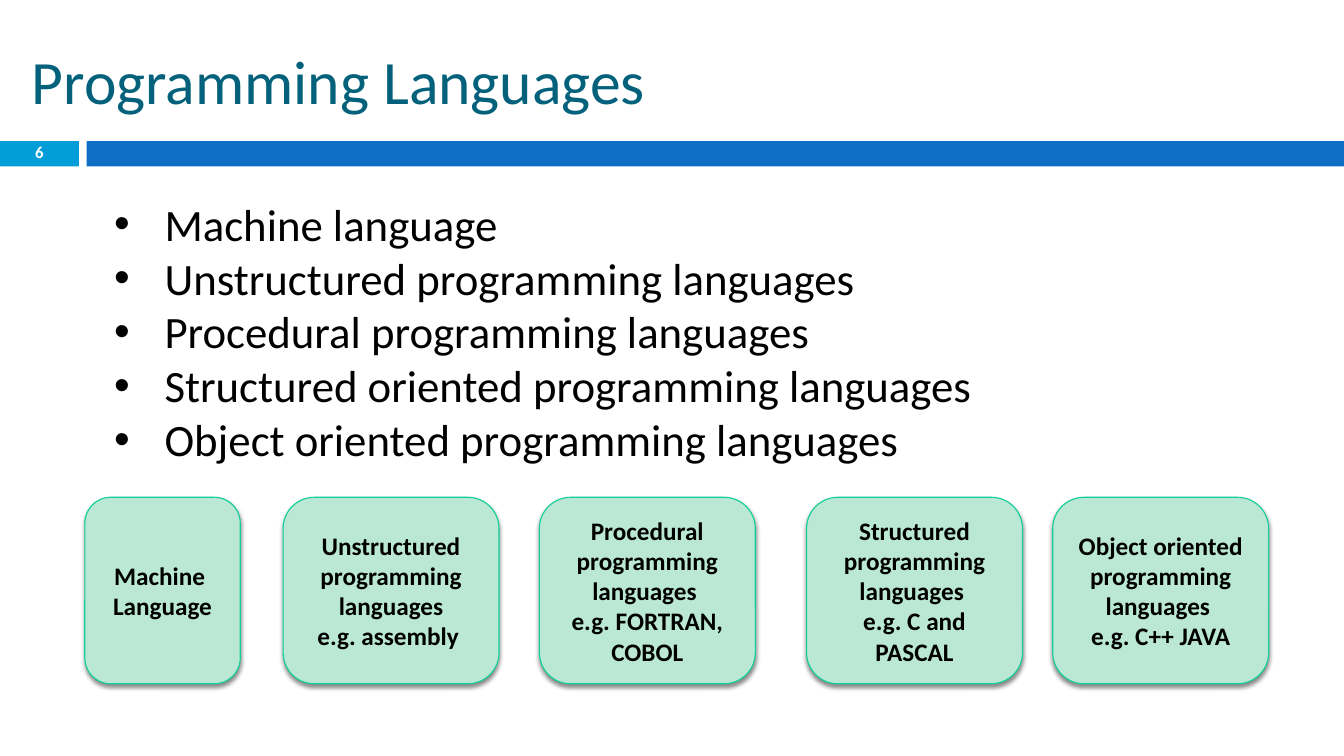
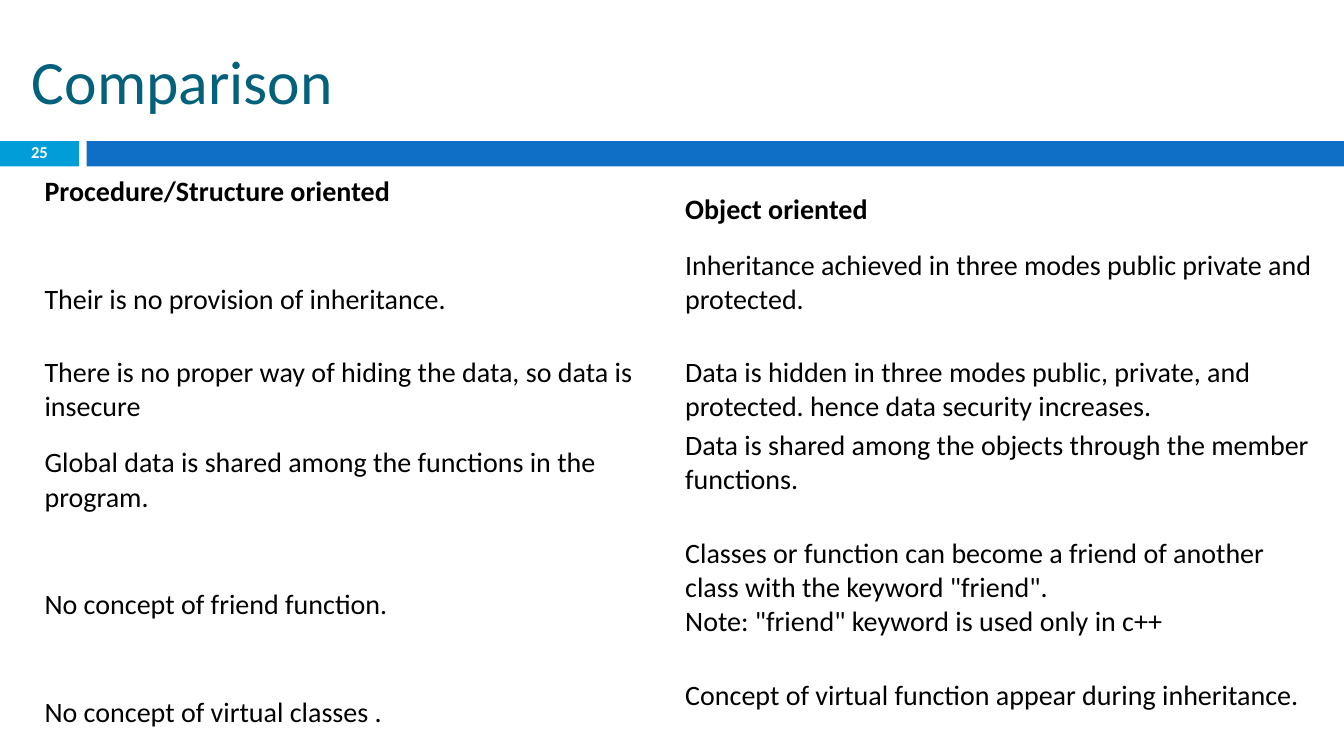
import dataclasses

import pptx
import pptx.dml.color
import pptx.enum.shapes
import pptx.enum.text
import pptx.oxml
import pptx.oxml.ns
import pptx.util

SHAPE = pptx.enum.shapes.MSO_SHAPE
ALIGN = pptx.enum.text.PP_ALIGN
ANCHOR = pptx.enum.text.MSO_ANCHOR
NAMESPACE = pptx.oxml.ns.nsdecls("a")

# Shared look
FONT = "Calibri"
BLACK, WHITE, TITLE_TEAL = "000000", "FFFFFF", "04617B"
NUMBER_BLUE, BAND_BLUE = "009DD9", "0F6FC6"
CARD_GREEN, CARD_EDGE = "BAE8D4", "10CF9B"

# Grid: 160 columns by 90 rows of square cells
WIDTH, HEIGHT = pptx.util.Inches(13.33), pptx.util.Inches(7.5)
COLUMNS, ROWS = 160, 90
TABLE_LINE, TABLE_PAD = 4.1, 0.25


def cells(count):
    return round(count * HEIGHT / ROWS)


@dataclasses.dataclass
class Box:
    left: float
    top: float
    width: float
    height: float

    def inner(self, left, top, width, height):
        return Box(self.left + left, self.top + top, width, height)

    def place(self):
        return [cells(n) for n in (self.left, self.top, self.width, self.height)]


TITLE_BOX = Box(2.6, 3, 142.7, 13)
BAND_BOX = Box(0, 16.8, COLUMNS, 3)
LIST_BOX = Box(12.4, 22.8, 139.3, 33.5)
CARDS_BOX = Box(10.1, 59.2, 141, 22.2)
TABLE_BOX = Box(4.7, 20.6, 152.5, 68.6)


def color(value):
    return pptx.dml.color.RGBColor.from_string(value)


def write(frame, lines, size, shade=BLACK, bold=False, align=ALIGN.LEFT, anchor=ANCHOR.MIDDLE):
    """Fill a text frame, one paragraph for each line."""
    frame.word_wrap = True
    frame.vertical_anchor = anchor
    for index, line in enumerate(lines):
        para = frame.paragraphs[0] if index == 0 else frame.add_paragraph()
        para.alignment = align
        span = para.add_run()
        span.text = line
        span.font.name = FONT
        span.font.size = pptx.util.Pt(size)
        span.font.bold = bold
        span.font.color.rgb = color(shade)


def add_panel(page, box, preset, fill, edge=None):
    panel = page.shapes.add_shape(preset, *box.place())
    panel.shadow.inherit = False
    panel.fill.solid()
    panel.fill.fore_color.rgb = color(fill)
    if edge:
        panel.line.color.rgb = color(edge)
        panel.line.width = pptx.util.Pt(0.79)
    else:
        panel.line.fill.background()
    return panel


def add_page(deck, title, number):
    """Title, page number and the band below the title."""
    page = deck.slides.add_slide(deck.slide_layouts[5])
    heading = page.shapes.title
    heading.left, heading.top, heading.width, heading.height = TITLE_BOX.place()
    write(heading.text_frame, [title], 44, TITLE_TEAL)

    tab = add_panel(page, BAND_BOX.inner(0, 0, 9.4, 3), SHAPE.RECTANGLE, NUMBER_BLUE)
    write(tab.text_frame, [str(number)], 11.9, WHITE, True, ALIGN.CENTER)
    tab.text_frame.paragraphs[0].line_spacing = 0.8
    add_panel(page, BAND_BOX.inner(10.3, 0, COLUMNS - 10.3, 3), SHAPE.RECTANGLE, BAND_BLUE)
    return page


def add_bullets(page, box, items):
    frame = page.shapes.add_textbox(*box.place()).text_frame
    write(frame, items, 32, align=ALIGN.JUSTIFY, anchor=ANCHOR.TOP)
    for para in frame.paragraphs:
        properties = para._p.get_or_add_pPr()
        properties.set("marL", str(cells(6)))
        properties.set("indent", str(-cells(6)))
        for markup in (f'<a:buFont {NAMESPACE} typeface="Arial"/>',
                       f'<a:buChar {NAMESPACE} char="•"/>'):
            properties.append(pptx.oxml.parse_xml(markup))


def add_soft_shadow(shape):
    effects = shape._element.spPr.find(pptx.oxml.ns.qn("a:effectLst"))
    effects.append(pptx.oxml.parse_xml(
        f'<a:outerShdw {NAMESPACE} blurRad="{int(pptx.util.Pt(3))}" '
        f'dist="{int(pptx.util.Pt(2.4))}" dir="5400000" rotWithShape="0">'
        f'<a:srgbClr val="{BLACK}"><a:alpha val="45000"/></a:srgbClr></a:outerShdw>'))


def add_cards(page, box, cards):
    """Row of rounded cards, each with its offset, width and lines."""
    for offset, width, lines in cards:
        card = add_panel(page, box.inner(offset, 0, width, box.height),
                         SHAPE.ROUNDED_RECTANGLE, CARD_GREEN, CARD_EDGE)
        add_soft_shadow(card)
        write(card.text_frame, lines, 18, bold=True, align=ALIGN.CENTER)


def add_comparison(page, box, rows):
    """Two-column table; a raised cell keeps one line free below its text."""
    table = page.shapes.add_table(len(rows), 2, *box.place()).table
    table.first_row = table.horz_banding = False
    for column in table.columns:
        column.width = cells(box.width / 2)
    for index, (line_count, *entries) in enumerate(rows):
        table.rows[index].height = cells(line_count * TABLE_LINE + 2 * TABLE_PAD)
        for cell, (lines, raised) in zip(table.rows[index].cells, entries):
            cell.fill.background()
            cell.margin_left = cell.margin_right = cells(0.6)
            cell.margin_top = cells(TABLE_PAD)
            cell.margin_bottom = cells(TABLE_PAD + TABLE_LINE * raised)
            write(cell.text_frame, lines, 20, bold=index == 0)
            cell.vertical_anchor = ANCHOR.MIDDLE


LANGUAGES = [
    "Machine language",
    "Unstructured programming languages",
    "Procedural programming languages",
    "Structured oriented programming languages",
    "Object oriented programming languages",
]

# Offset, width, lines
CARDS = [
    (0, 18.5, ["Machine ", "Language"]),
    (23.6, 25.7, ["Unstructured programming languages", "e.g. assembly "]),
    (54.1, 25.7, ["Procedural programming languages ", "e.g. FORTRAN, COBOL"]),
    (85.9, 25.7, ["Structured programming languages ", "e.g. C and PASCAL"]),
    (115.2, 25.7, ["Object oriented programming languages ", "e.g. C++ JAVA"]),
]

# Row height in lines, then left and right cell as (lines, raised)
COMPARISON = [
    (2, (["Procedure/Structure oriented"], True), (["Object oriented"], False)),
    (3, (["Their is no provision of inheritance."], False),
     (["Inheritance achieved in three modes public private and protected."], True)),
    (2, (["There is no proper way of hiding the data, so data is insecure"], False),
     (["Data is hidden in three modes public, private, and protected. "
       "hence data security increases."], False)),
    (3, (["Global data is shared among the functions in the program."], False),
     (["Data is shared among the objects through the member functions."], True)),
    (4, (["No concept of friend function."], False),
     (['Classes or function can become a friend of another class with the keyword "friend".',
       'Note: "friend" keyword is used only in c++'], True)),
    (2, (["No concept of virtual classes ."], False),
     (["Concept of virtual function appear during inheritance."], True)),
]


def main():
    deck = pptx.Presentation()
    deck.slide_width, deck.slide_height = WIDTH, HEIGHT

    page = add_page(deck, "Programming Languages", 6)
    add_bullets(page, LIST_BOX, LANGUAGES)
    add_cards(page, CARDS_BOX, CARDS)

    page = add_page(deck, "Comparison", 25)
    add_comparison(page, TABLE_BOX, COMPARISON)

    deck.save("out.pptx")


if __name__ == "__main__":
    main()
